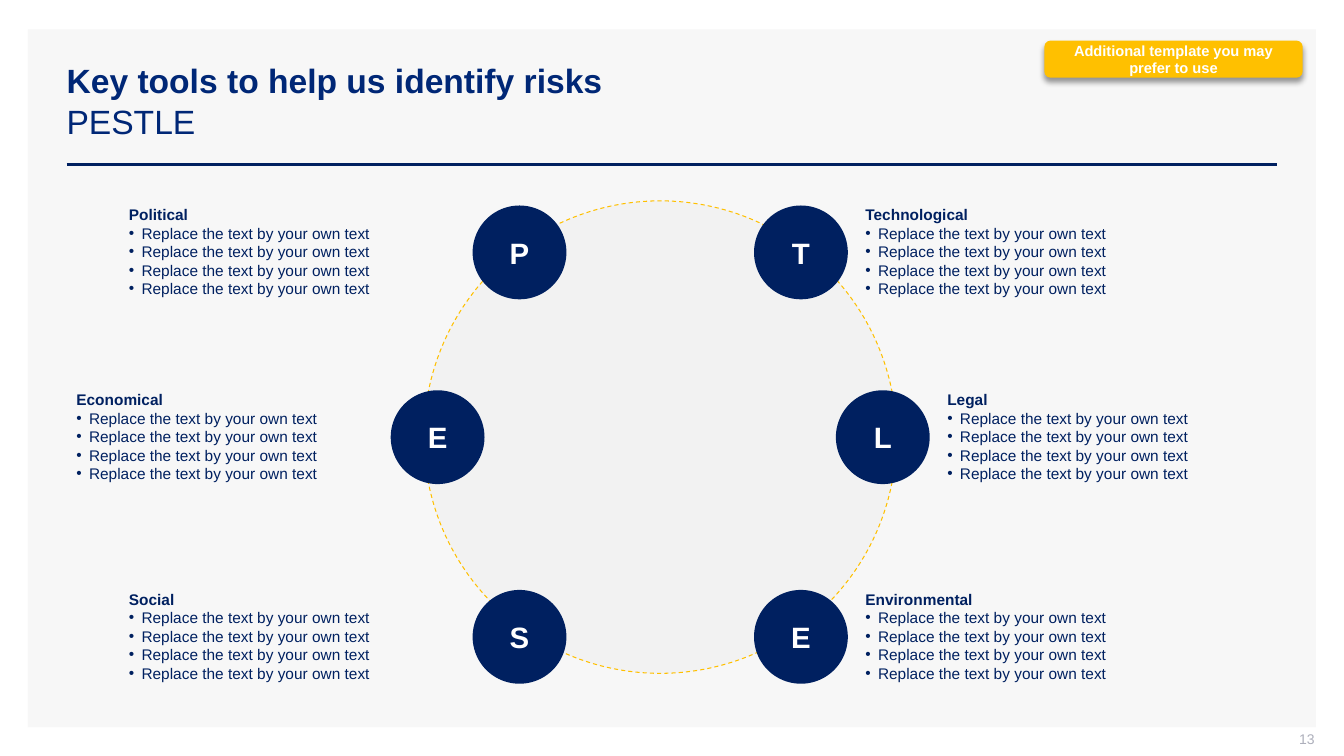
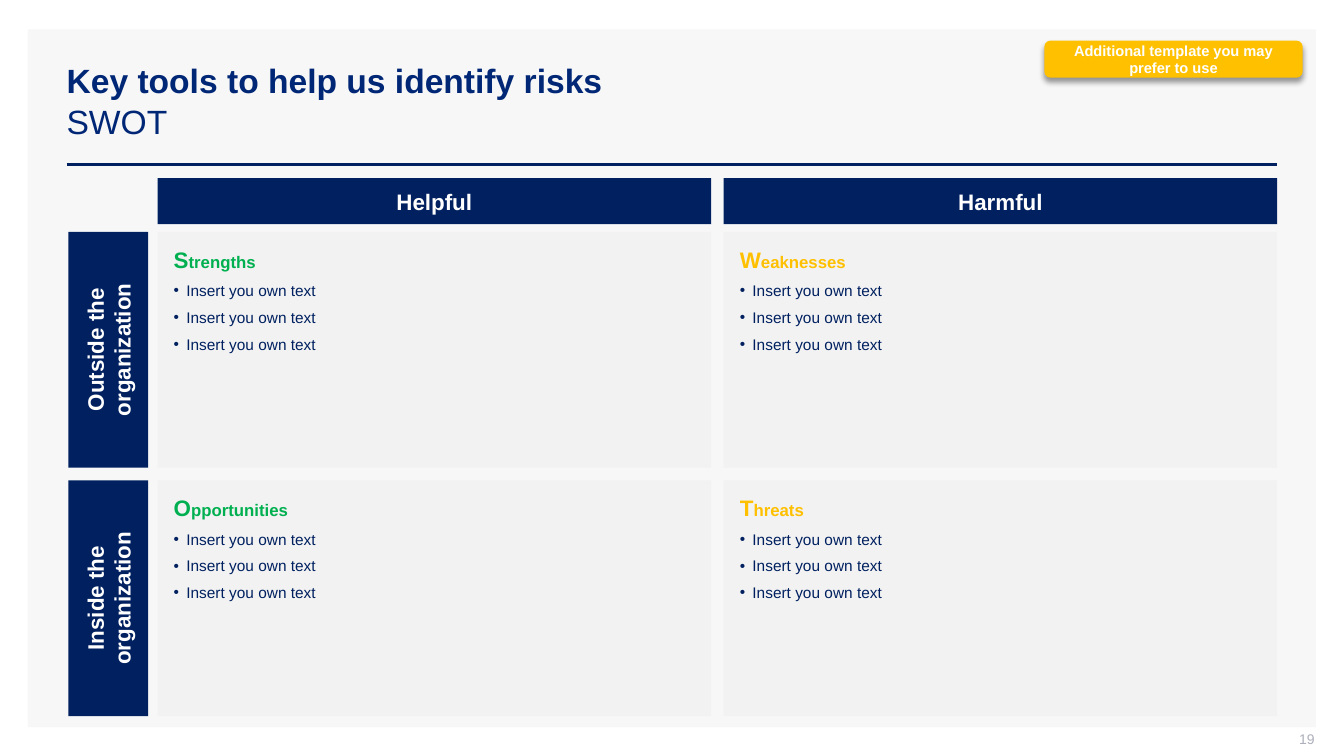
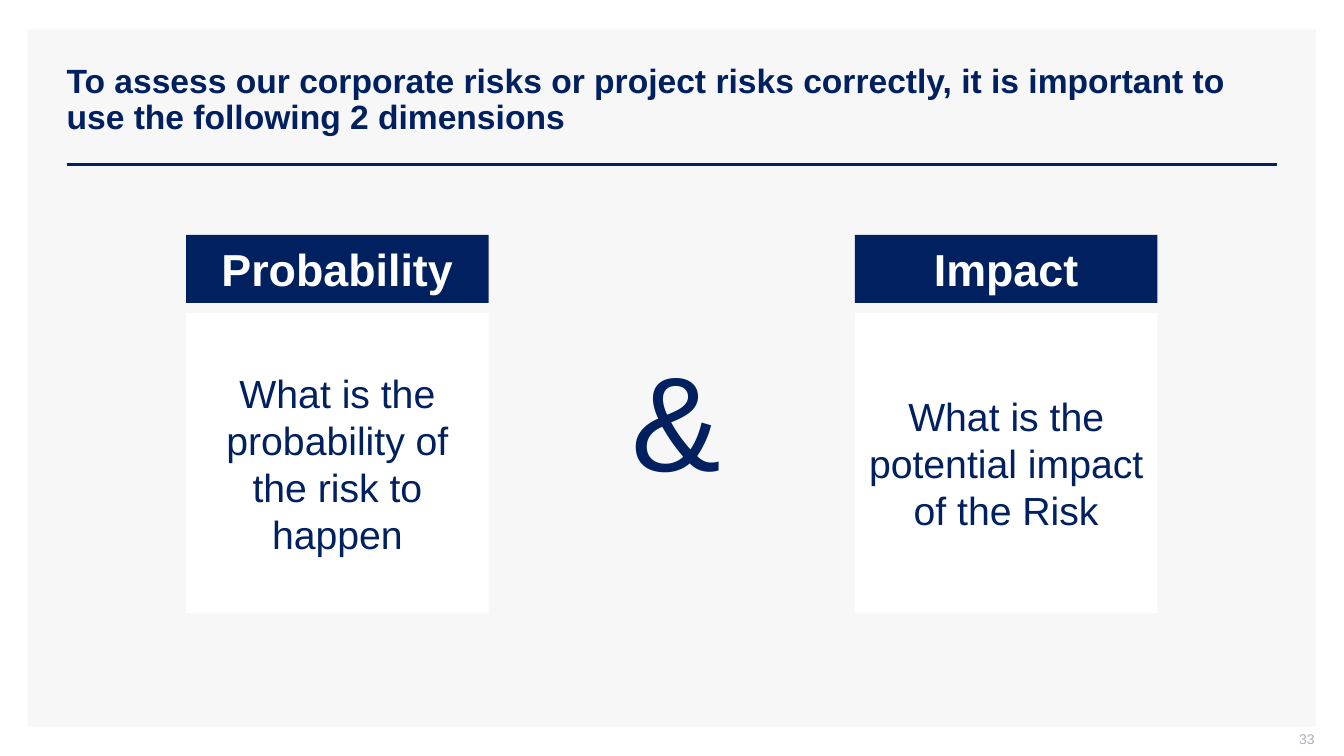
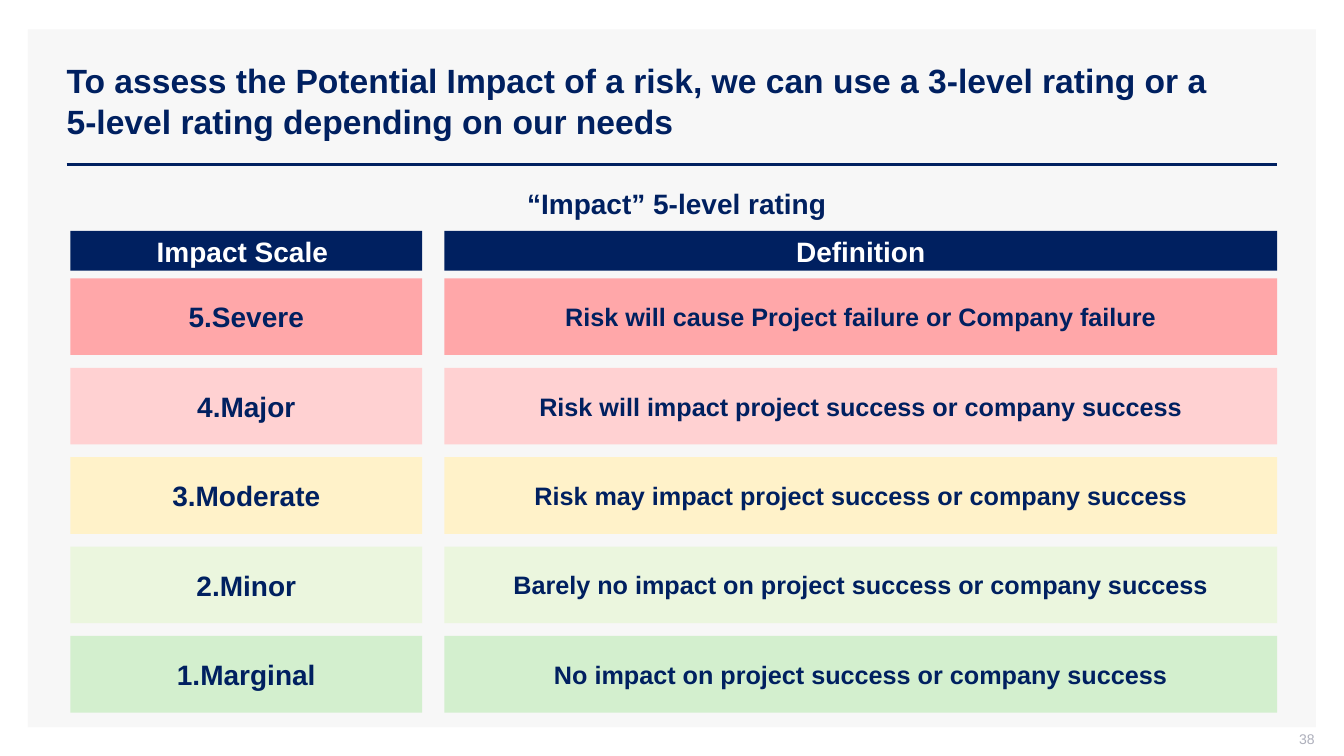
from dataclasses import dataclass

from lxml.etree import SubElement
from pptx import Presentation
from pptx.dml.color import RGBColor
from pptx.enum.dml import MSO_LINE
from pptx.enum.shapes import MSO_CONNECTOR, MSO_SHAPE
from pptx.enum.text import MSO_ANCHOR, PP_ALIGN
from pptx.oxml.ns import qn
from pptx.util import Pt


@dataclass(frozen=True)
class Theme:
    font: str = "Arial"
    navy: str = "002060"
    title_blue: str = "002776"
    panel: str = "F7F7F7"
    pale: str = "F2F2F2"
    amber: str = "FFC000"
    green: str = "00B050"
    white: str = "FFFFFF"
    grey: str = "ADAFBB"
    severity: tuple = ("FFA7A9", "FFD1D2", "FFF2C9", "EBF6DE", "D3EFCE")
    footer_size: float = 10
    badge_size: float = 10.5
    list_size: float = 11
    small_size: float = 12
    label_size: float = 16
    definition_size: float = 18
    scale_size: float = 20
    letter_size: float = 21
    title_size: float = 24
    question_size: float = 28
    card_size: float = 32
    symbol_size: float = 96


THEME = Theme()
RIGHT_EDGE = 912.2


def color(code):
    return RGBColor.from_string(code)


def points(*lengths):
    return [Pt(length) for length in lengths]


def add_span(para, text, size, ink=THEME.navy, bold=False):
    span = para.add_run()
    span.text = text
    span.font.name = THEME.font
    span.font.size = Pt(size)
    span.font.bold = bold
    span.font.color.rgb = color(ink)


def set_insets(frame, left=7.2, top=3.6, right=7.2, bottom=3.6):
    frame.margin_left, frame.margin_top, frame.margin_right, frame.margin_bottom = points(
        left, top, right, bottom)


def add_text_box(page, left, top, width, height, anchor=MSO_ANCHOR.TOP):
    frame = page.shapes.add_textbox(*points(left, top, width, height)).text_frame
    frame.word_wrap = True
    frame.vertical_anchor = anchor
    return frame


def add_block(page, left, top, width, height, fill, kind=MSO_SHAPE.RECTANGLE):
    block = page.shapes.add_shape(kind, *points(left, top, width, height))
    block.shadow.inherit = False
    block.fill.solid()
    block.fill.fore_color.rgb = color(fill)
    block.line.fill.background()
    return block


def add_label(page, box, fill, text, size, ink=THEME.white, bold=True, kind=MSO_SHAPE.RECTANGLE):
    """Add a filled shape with centred text; box is left, top, width, height."""
    label = add_block(page, *box, fill, kind)
    label.text_frame.vertical_anchor = MSO_ANCHOR.MIDDLE
    para = label.text_frame.paragraphs[0]
    para.alignment = PP_ALIGN.CENTER
    add_span(para, text, size, ink, bold)
    return label


def set_indent(para, left, hanging=0):
    properties = para._p.get_or_add_pPr()
    properties.set("marL", str(Pt(left)))
    properties.set("indent", str(-Pt(hanging)))
    return properties


def add_bullets(frame, texts, left, spacing=0):
    for text in texts:
        para = frame.add_paragraph()
        properties = set_indent(para, left, hanging=9)
        SubElement(properties, qn("a:buFont")).set("typeface", THEME.font)
        SubElement(properties, qn("a:buChar")).set("char", "•")
        para.space_before = para.space_after = Pt(spacing)
        add_span(para, text, THEME.list_size)


def add_page(deck, number, title, subtitle=None, ink=THEME.navy, title_width=872, line_spacing=1.0):
    """Add a blank slide with the panel, rule, title and page number."""
    page = deck.slides.add_slide(deck.slide_layouts[6])
    add_block(page, 20, 21, 920, 498.5, THEME.panel)

    rule = page.shapes.add_connector(MSO_CONNECTOR.STRAIGHT, *points(47.7, 117.5, RIGHT_EDGE, 117.5))
    rule.line.color.rgb = color(THEME.navy)
    rule.line.width = Pt(2)
    SubElement(rule._element.spPr, qn("a:effectLst"))

    heading = add_text_box(page, 40.5, 29, title_width, 85.5, MSO_ANCHOR.MIDDLE).paragraphs[0]
    heading.line_spacing = line_spacing
    add_span(heading, title, THEME.title_size, ink, bold=True)
    if subtitle:
        heading.add_line_break()
        add_span(heading, subtitle, THEME.title_size, ink)

    footer = add_text_box(page, 723, 522, 216, 15, MSO_ANCHOR.MIDDLE)
    set_insets(footer, top=0, right=0)
    footer.paragraphs[0].alignment = PP_ALIGN.RIGHT
    add_span(footer.paragraphs[0], str(number), THEME.footer_size, THEME.grey)
    return page


def add_template_badge(page):
    badge = add_label(page, (746, 29, 184.5, 26.5), THEME.amber,
                      "Additional template you may prefer to use", THEME.badge_size,
                      kind=MSO_SHAPE.ROUNDED_RECTANGLE)
    effects = badge._element.spPr.find(qn("a:effectLst"))
    shadow = SubElement(effects, qn("a:outerShdw"), blurRad=str(Pt(4)), dist=str(Pt(3)),
                        dir="5400000", algn="t", rotWithShape="0")
    tint = SubElement(shadow, qn("a:srgbClr"), val="000000")
    SubElement(tint, qn("a:alpha"), val="40000")


def add_tool_page(deck, number, tool):
    page = add_page(deck, number, "Key tools to help us identify risks", tool, THEME.title_blue)
    add_template_badge(page)
    return page


def build_pestle(deck):
    page = add_tool_page(deck, 13, "PESTLE")
    center, ring, disc = 471.6, 337.5, 67
    circle = add_block(page, center - ring / 2, 143.5, ring, ring, THEME.pale, MSO_SHAPE.OVAL)
    circle.line.color.rgb = color(THEME.amber)
    circle.line.width = Pt(0.75)
    circle.line.dash_style = MSO_LINE.DASH

    rows = (
        (146.8, 100.5, 85, "Political", "Technological"),
        (278.8, 159, 47.5, "Economical", "Legal"),
        (421.4, 100.5, 85, "Social", "Environmental"),
    )
    for top, offset, text_left, left_name, right_name in rows:
        right_text = center + offset + disc / 2 + 5.5
        for name, middle, text_x in ((left_name, center - offset, text_left),
                                     (right_name, center + offset, right_text)):
            add_label(page, (middle - disc / 2, top, disc, disc), THEME.navy, name[0],
                      THEME.letter_size, kind=MSO_SHAPE.OVAL)
            frame = add_text_box(page, text_x, top - 3.6, 243.5, 74)
            add_span(frame.paragraphs[0], name, THEME.list_size, bold=True)
            add_bullets(frame, ["Replace the text by your own text"] * 4, left=9)


def build_swot(deck):
    page = add_tool_page(deck, 19, "SWOT")
    left, top, width, height, gap = 112.5, 165.7, 395.4, 168.4, 9
    side_width, side_center = 57, 77.3
    columns = (("Helpful", THEME.green), ("Harmful", THEME.amber))
    rows = (
        ("Outside the organization", ("Strengths", "Weaknesses")),
        ("Inside the organization", ("Opportunities", "Threats")),
    )
    lefts = [left + index * (width + gap) for index in range(len(columns))]
    for x, (name, _) in zip(lefts, columns):
        add_label(page, (x, 127.2, width, 33), THEME.navy, name, THEME.label_size)

    for index, (side_name, topics) in enumerate(rows):
        y = top + index * (height + gap)
        side_box = (side_center - height / 2, y + (height - side_width) / 2, height, side_width)
        side = add_label(page, side_box, THEME.navy, side_name, THEME.label_size)
        side.rotation = 270
        for x, topic, (_, ink) in zip(lefts, topics, columns):
            quadrant = add_block(page, x, y, width, height, THEME.pale)
            frame = quadrant.text_frame
            frame.vertical_anchor = MSO_ANCHOR.TOP
            set_insets(frame, top=10, bottom=7.2)
            heading = frame.paragraphs[0]
            set_indent(heading, 4.5)
            heading.space_after = Pt(3)
            add_span(heading, topic[0], THEME.label_size, ink, bold=True)
            add_span(heading, topic[1:], THEME.small_size, ink, bold=True)
            add_bullets(frame, ["Insert you own text"] * 3, left=13.5, spacing=3)
            for para in frame.paragraphs:
                para.alignment = PP_ALIGN.LEFT


def build_dimensions(deck):
    page = add_page(deck, 33, "To assess our corporate risks or project risks correctly, it is "
                    "important to use the following 2 dimensions", title_width=850, line_spacing=0.9)
    cards = (
        (133, "Probability", "What is the probability of the risk to happen"),
        (610.7, "Impact", "What is the potential impact of the Risk"),
    )
    for left, name, question in cards:
        add_label(page, (left, 167.8, 216, 48.5), THEME.navy, name, THEME.card_size)
        add_label(page, (left, 223.5, 216, 214.5), THEME.white, question, THEME.question_size,
                  THEME.navy, bold=False)
    symbol = add_text_box(page, 389.5, 237, 187, 142.5).paragraphs[0]
    symbol.alignment = PP_ALIGN.CENTER
    add_span(symbol, "&", THEME.symbol_size)


def build_impact_scale(deck):
    page = add_page(deck, 38, "To assess the Potential Impact of a risk, we can use a 3-level rating "
                    "or a 5-level rating depending on our needs", title_width=854)
    caption = add_text_box(page, 263, 129.6, 446.4, 31.5).paragraphs[0]
    caption.alignment = PP_ALIGN.CENTER
    add_span(caption, "“Impact” 5-level rating ", THEME.scale_size, bold=True)

    columns = ((50.3, 251.3, THEME.scale_size), (317.4, 594.8, THEME.definition_size))
    for (left, width, _), name in zip(columns, ("Impact Scale ", "Definition")):
        add_label(page, (left, 165, width, 28.4), THEME.navy, name, THEME.scale_size)

    levels = (
        ("5.Severe", "Risk will cause Project failure or Company failure"),
        ("4.Major", "Risk will impact project success or company success"),
        ("3.Moderate", "Risk may impact project success or company success"),
        ("2.Minor", "Barely no impact on project success or company success"),
        ("1.Marginal", "No impact on project success or company success"),
    )
    for index, (level, fill) in enumerate(zip(levels, THEME.severity)):
        top = 198.9 + index * 63.85
        for (left, width, size), text in zip(columns, level):
            add_label(page, (left, top, width, 54.7), fill, text, size, THEME.navy)


def main():
    deck = Presentation()
    deck.slide_width, deck.slide_height = points(960, 540)
    build_pestle(deck)
    build_swot(deck)
    build_dimensions(deck)
    build_impact_scale(deck)
    deck.save("out.pptx")


if __name__ == "__main__":
    main()
